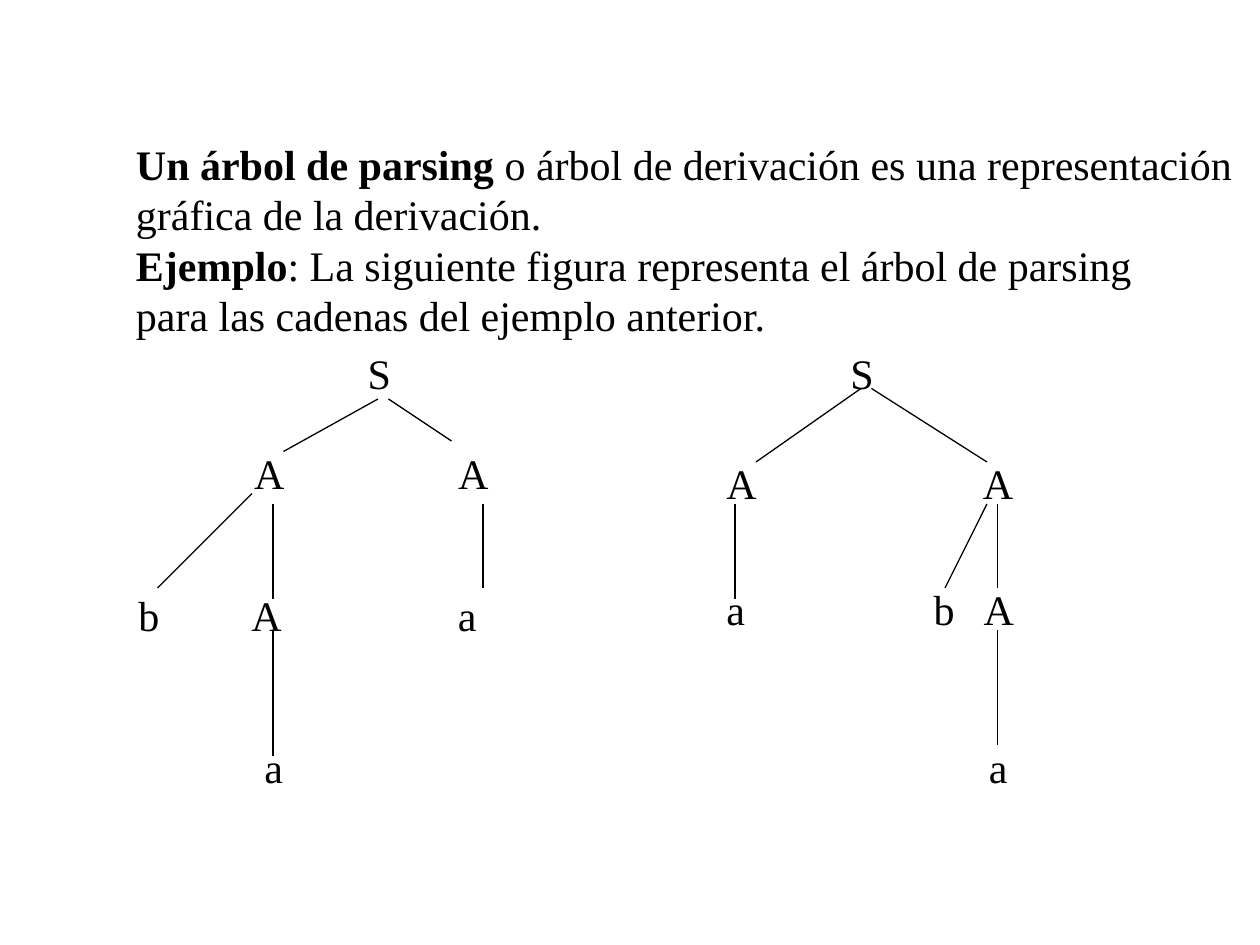
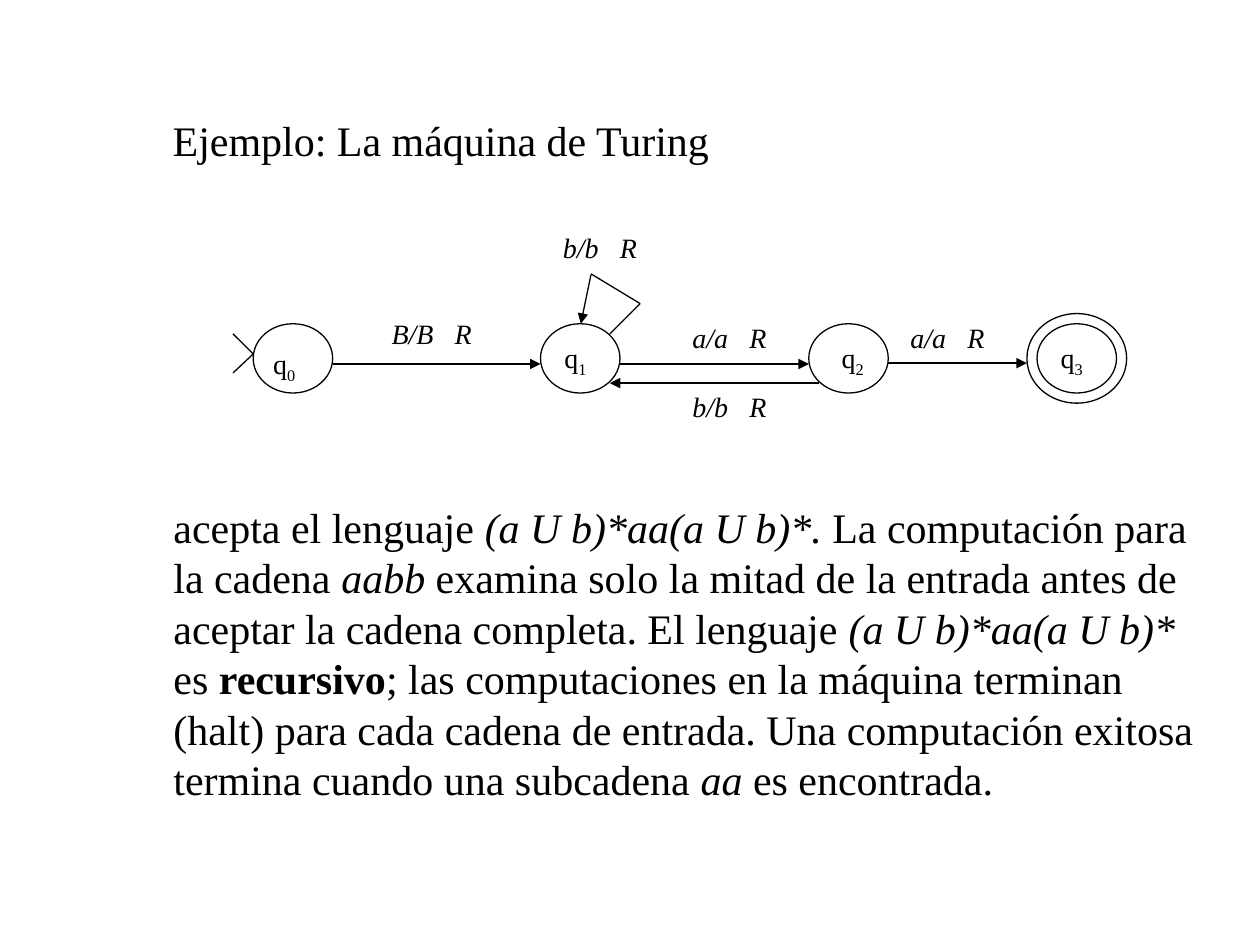
from dataclasses import dataclass

from pptx import Presentation
from pptx.dml.color import RGBColor
from pptx.enum.shapes import MSO_CONNECTOR as CONN, MSO_SHAPE as SHAPE
from pptx.enum.text import MSO_AUTO_SIZE as AUTO
from pptx.oxml.ns import qn
from pptx.util import Pt
from lxml.etree import SubElement


@dataclass(frozen=True)
class Theme:
    ink: RGBColor = RGBColor(0, 0, 0)
    paper: RGBColor = RGBColor(255, 255, 255)
    font: str = "Times New Roman"
    body: int = 24
    label: int = 16
    line: float = 0.75


T = Theme()

# Slide 1: a run is (text, style); b bold, i italic, s subscript
DEFINITION = [
    [("Un árbol de parsing", "b"), (" o árbol de derivación es una representación", "")],
    [("gráfica de la derivación.", "")],
    [("Ejemplo", "b"), (": La siguiente figura representa el árbol de parsing", "")],
    [("para las cadenas del ejemplo anterior.", "")],
]
# Each tree level: left, top, width, symbols, tab stops
TREE_LEVELS = [
    (203, 195.3, 28, ["S"], []),
    (138.2, 252, 160, ["A", "A"], [116.6]),
    (72, 333.5, 290, ["b", "A", "a"], [64.6, 182.5]),
    (144, 420, 26, ["a"], []),
    (478.8, 195.3, 28, ["S"], []),
    (408, 258, 186, ["A", "A"], [146.6]),
    (408, 330, 216, ["a", "b", "A"], [118.5, 147.1]),
    (558, 420, 26, ["a"], []),
]
BRANCHES = [
    (216, 228, 162, 258), (222, 228, 258, 252), (144, 282, 90, 336),
    (156, 288, 156, 342), (276, 288, 276, 336), (156, 360, 156, 432),
    (492, 222, 432, 264), (498, 222, 564, 264), (420, 288, 420, 342),
    (564, 288, 540, 336), (570, 288, 570, 336), (570, 360, 570, 426),
]

# Slide 2
HEADING = "Ejemplo: La máquina de Turing"
EXPLANATION = [[
    ("acepta el lenguaje ", ""), ("(a U b)*aa(a U b)*.", "i"),
    (" La computación para la cadena ", ""), ("aabb", "i"),
    (" examina solo la mitad de la entrada antes de aceptar la cadena completa. "
     "El lenguaje ", ""),
    ("(a U b)*aa(a U b)* ", "i"), ("es ", ""), ("recursivo", "b"),
    ("; las computaciones en la máquina terminan (halt) para cada cadena de entrada. "
     "Una computación exitosa termina cuando una subcadena ", ""),
    ("aa", "i"), (" es encontrada.", ""),
]]
STATE_TOP, STATE_W, STATE_H, RING = 185, 45.4, 39.6, 5.8
# Each state: circle left, label left, label top
STATES = [(144.7, 149, 194.4), (308.9, 315.4, 190.8),
          (462.2, 473.8, 190.8), (592.6, 599, 190.8)]
# Each transition label: left, top, read/write, move, tab stop
TRANSITIONS = [
    (216.7, 177.1, "B/B", "R", 36), (388.6, 179.5, "a/a", "R", 32.5),
    (314.6, 128.5, "b/b", "R", 32.5), (388.6, 218.9, "b/b", "R", 32.5),
    (513.2, 179.5, "a/a", "R", 32.5),
]
ARROWS = [
    (190.1, 208, 308.9, 208), (354.2, 208, 462.2, 208), (507.6, 207.5, 586.8, 207.5),
    (468, 218.9, 348.5, 218.9), (337.7, 157, 331.9, 185),
]
PLAIN_LINES = [
    (348.5, 190.8, 365.8, 173.5), (365.8, 173.5, 337.7, 156.5),
    (144.7, 202.3, 133.2, 190.8), (144.7, 202.3, 133.2, 213.1),
]


def pts(*values):
    return [Pt(v) for v in values]


def add_text(s, paragraphs, box, size=T.body, wrap=False, tabs=()):
    """Paragraphs is a string or a list of run lists."""
    if isinstance(paragraphs, str):
        paragraphs = [[(paragraphs, "")]]
    tf = s.shapes.add_textbox(*pts(*box)).text_frame
    tf.word_wrap = wrap
    tf.auto_size = AUTO.SHAPE_TO_FIT_TEXT
    for n, runs in enumerate(paragraphs):
        p = tf.add_paragraph() if n else tf.paragraphs[0]
        if tabs:
            stops = SubElement(p._p.get_or_add_pPr(), qn("a:tabLst"))
            for stop in tabs:
                SubElement(stops, qn("a:tab"), pos=str(Pt(stop)), algn="l")
        for text, style in runs:
            r = p.add_run()
            r.text = text
            r.font.name, r.font.size = T.font, Pt(size)
            r.font.color.rgb = T.ink
            r.font.bold, r.font.italic = "b" in style, "i" in style
            if "s" in style:
                r._r.get_or_add_rPr().set("baseline", "-25000")


def add_line(s, ends, arrow=False):
    c = s.shapes.add_connector(CONN.STRAIGHT, *pts(*ends))
    c.line.color.rgb, c.line.width = T.ink, Pt(T.line)
    if arrow:
        SubElement(c.line._get_or_add_ln(), qn("a:tailEnd"), type="triangle")
    SubElement(c._element.spPr, qn("a:effectLst"))


def add_circle(s, left, grow=0):
    sp = s.shapes.add_shape(SHAPE.OVAL, *pts(
        left - grow, STATE_TOP - grow, STATE_W + 2 * grow, STATE_H + 2 * grow))
    sp.shadow.inherit = False
    sp.fill.background()
    sp.line.color.rgb, sp.line.width = T.ink, Pt(T.line)


def add_slide(prs):
    s = prs.slides.add_slide(prs.slide_layouts[6])
    s.background.fill.solid()
    s.background.fill.fore_color.rgb = T.paper
    return s


def parse_trees(prs):
    s = add_slide(prs)
    add_text(s, DEFINITION, (70.6, 75.6, 640.8, 122.4))
    for left, top, width, symbols, tabs in TREE_LEVELS:
        add_text(s, "\t".join(symbols), (left, top, width, 36),
                 wrap=bool(tabs), tabs=tabs)
    for ends in BRANCHES:
        add_line(s, ends)


def turing_machine(prs):
    s = add_slide(prs)
    add_text(s, HEADING, (91.6, 62, 321.8, 36))
    for n, (left, label_left, label_top) in enumerate(STATES):
        add_circle(s, left)
        add_text(s, [[("q", ""), (str(n), "s")]],
                 (label_left, label_top, 36, 29.5), size=T.label, wrap=True)
    add_circle(s, STATES[-1][0], grow=RING)
    for ends in ARROWS:
        add_line(s, ends, arrow=True)
    for ends in PLAIN_LINES:
        add_line(s, ends)
    for left, top, symbols, move, tab in TRANSITIONS:
        add_text(s, [[(f"{symbols}\t{move}", "i")]], (left, top, 64, 26.6),
                 size=T.label, wrap=True, tabs=[tab])
    add_text(s, EXPLANATION, (92, 283, 608.4, 180), wrap=True)


def main():
    prs = Presentation()
    prs.slide_width, prs.slide_height = pts(720, 540)
    parse_trees(prs)
    turing_machine(prs)
    prs.save("out.pptx")


if __name__ == "__main__":
    main()
